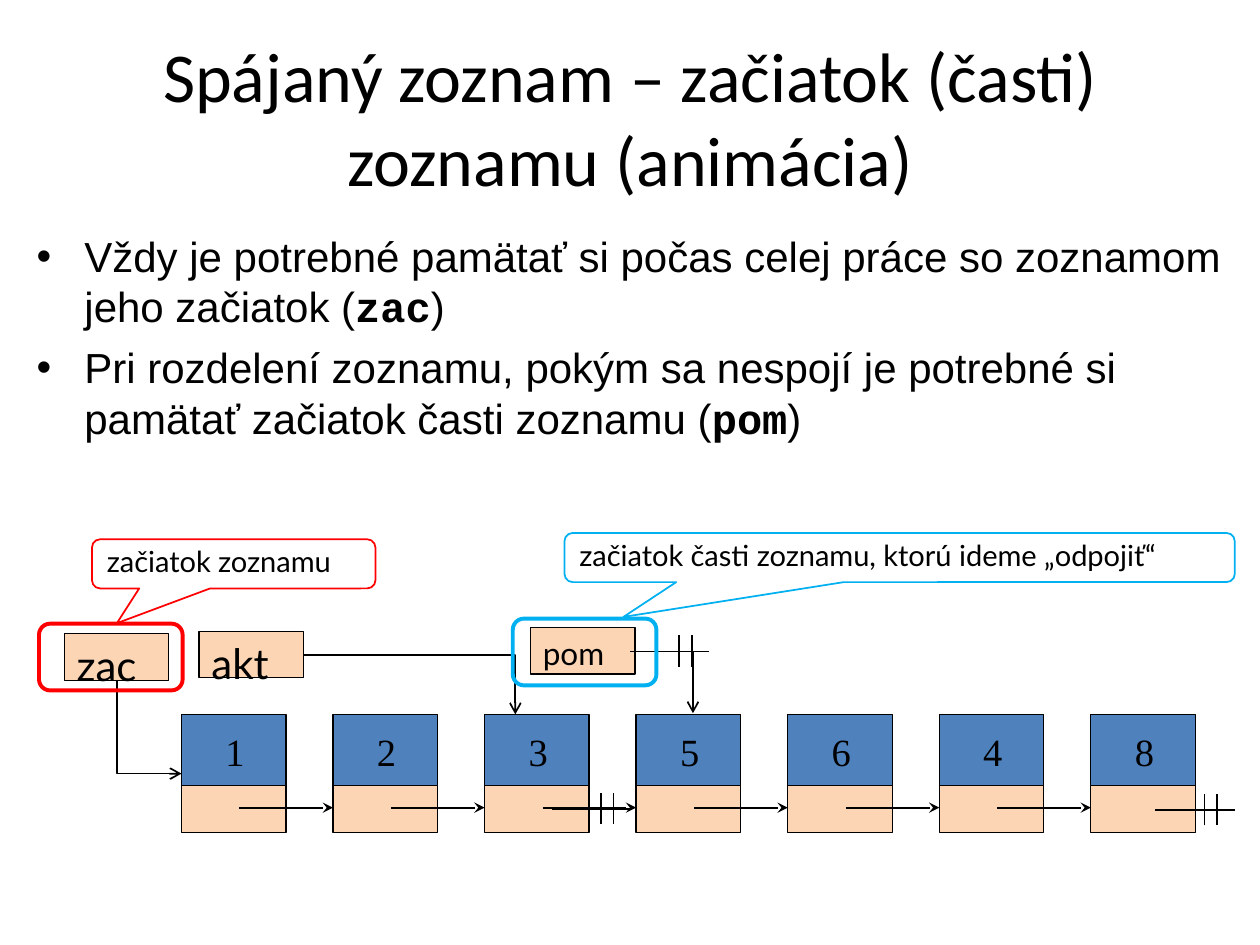
from lxml.etree import SubElement
from pptx import Presentation
from pptx.dml.color import RGBColor
from pptx.enum.shapes import MSO_CONNECTOR, MSO_SHAPE
from pptx.enum.text import MSO_ANCHOR, MSO_AUTO_SIZE, PP_ALIGN
from pptx.oxml.ns import qn
from pptx.util import Inches, Pt

BLACK = RGBColor(0x00, 0x00, 0x00)
BLUE = RGBColor(0x4F, 0x81, 0xBD)
PEACH = RGBColor(0xFC, 0xD5, 0xB5)
RED = RGBColor(0xFF, 0x00, 0x00)
CYAN = RGBColor(0x00, 0xB0, 0xF0)

NODE_VALUES = ["1", "2", "3", "5", "6", "4", "8"]
NODE_LEFT, NODE_TOP, NODE_PITCH = 1.44, 5.67, 1.203
CELL_WIDTH, CELL_HEIGHT = 0.83, 0.37
BULLETS = [
    ("Vždy je potrebné pamätať si počas celej práce so zoznamom jeho začiatok (", "zac", ")"),
    ("Pri rozdelení zoznamu, pokým sa nespojí je potrebné si pamätať začiatok časti zoznamu (", "pom", ")"),
]


def place(shape, left, top, width, height):
    shape.left, shape.top = Inches(left), Inches(top)
    shape.width, shape.height = Inches(width), Inches(height)


def format_font(font, name, size, bold=False):
    font.name, font.size, font.bold = name, Pt(size), bold
    font.color.rgb = BLACK


def add_box(page, kind, left, top, width, height, fill=None, line=None, weight=0.75):
    box = page.shapes.add_shape(kind, Inches(left), Inches(top), Inches(width), Inches(height))
    box.shadow.inherit = False
    if fill is None:
        box.fill.background()
    else:
        box.fill.solid()
        box.fill.fore_color.rgb = fill
    if line is None:
        box.line.fill.background()
    else:
        box.line.color.rgb = line
        box.line.width = Pt(weight)
    return box


def write(box, text, name, size, wrap=True):
    frame = box.text_frame
    frame.text = text
    frame.word_wrap = wrap
    frame.vertical_anchor = MSO_ANCHOR.TOP
    para = frame.paragraphs[0]
    para.alignment = PP_ALIGN.LEFT
    format_font(para.runs[0].font, name, size)
    return para


def add_line(page, start, end, arrow=None, kind=MSO_CONNECTOR.STRAIGHT):
    line = page.shapes.add_connector(kind, *(Inches(value) for value in (*start, *end)))
    line.line.color.rgb = BLACK
    line.line.width = Pt(1)
    properties = line._element.spPr
    if arrow:
        SubElement(properties.find(qn("a:ln")), qn("a:tailEnd"), type=arrow)
    SubElement(properties, qn("a:effectLst"))
    return line


def add_elbow(page, start, end, down_first=False):
    (x1, y1), (x2, y2) = start, end
    width, height = x2 - x1, y2 - y1
    if down_first:
        left = x1 + (width - height) / 2
        top = y1 + (height - width) / 2
        start, end = (left, top), (left + height, top + width)
    elbow = add_line(page, start, end, "arrow", MSO_CONNECTOR.ELBOW)
    properties = elbow._element.spPr
    properties.find(qn("a:prstGeom")).set("prst", "bentConnector2")
    if down_first:
        frame = properties.find(qn("a:xfrm"))
        frame.set("rot", str(270 * 60000))
        frame.set("flipH", "1")


def add_title(page, left, top, width, height):
    title = page.shapes.title
    place(title, left, top, width, height)
    frame = title.text_frame
    frame.text = "Spájaný zoznam – začiatok (časti) zoznamu (animácia)"
    frame.auto_size = MSO_AUTO_SIZE.NONE
    frame.vertical_anchor = MSO_ANCHOR.MIDDLE
    frame.paragraphs[0].alignment = PP_ALIGN.CENTER
    format_font(frame.paragraphs[0].runs[0].font, "Calibri", 40)


def add_bullets(page, left, top, width, height):
    body = page.placeholders[1]
    place(body, left, top, width, height)
    frame = body.text_frame
    frame.auto_size = MSO_AUTO_SIZE.NONE
    for index, parts in enumerate(BULLETS):
        para = frame.add_paragraph() if index else frame.paragraphs[0]
        para.space_before = Pt(6 if index else 0)
        properties = para._p.get_or_add_pPr()
        properties.set("marL", str(Inches(0.38)))
        properties.set("indent", str(-Inches(0.38)))
        SubElement(properties, qn("a:buFont"), typeface="Arial")
        SubElement(properties, qn("a:buChar"), char="•")
        for position, text in enumerate(parts):
            span = para.add_run()
            span.text = text
            is_code = position == 1
            format_font(span.font, "Courier New" if is_code else "Arial", 24, is_code)


def add_node(page, left, top, value):
    add_box(page, MSO_SHAPE.RECTANGLE, left, top, CELL_WIDTH, 0.92, BLUE, BLACK)
    number = add_box(page, MSO_SHAPE.RECTANGLE, left + 0.25, top + 0.06, 0.35, 0.47, BLUE)
    write(number, value, "Times New Roman", 22, wrap=False)
    add_box(page, MSO_SHAPE.RECTANGLE, left, top + 0.565, CELL_WIDTH, CELL_HEIGHT, PEACH, BLACK)


def add_list(page, left, top):
    lefts = [left + index * NODE_PITCH for index in range(len(NODE_VALUES))]
    for node_left, value in zip(lefts, NODE_VALUES):
        add_node(page, node_left, top, value)
    link_y = top + 0.74
    for node_left, next_left in zip(lefts, lefts[1:]):
        add_line(page, (node_left + 0.46, link_y), (next_left, link_y), "stealth")


def add_null_mark(page, left, y):
    add_line(page, (left, y), (left + 0.63, y))
    for offset in (0.49, 0.39):
        add_line(page, (left + offset, y + 0.12), (left + offset, y - 0.13))


def add_variable(page, left, top, name, size):
    box = add_box(page, MSO_SHAPE.RECTANGLE, left, top, CELL_WIDTH, CELL_HEIGHT, PEACH, BLACK)
    write(box, name, "Lato", size)


def add_highlight(page, left, top, color, text, callout_left, callout_top, callout_width):
    add_box(page, MSO_SHAPE.ROUNDED_RECTANGLE, left, top, 1.14, 0.53, line=color, weight=2.25)
    callout = add_box(page, MSO_SHAPE.ROUNDED_RECTANGULAR_CALLOUT, callout_left, callout_top,
                      callout_width, 0.39, line=color, weight=1)
    for index, value in enumerate((-0.412, 1.208, 0.167)):
        callout.adjustments[index] = value
    write(callout, text, "Lato", 16.6).line_spacing = 0.9


def main():
    deck = Presentation()
    deck.slide_width, deck.slide_height = Inches(10), Inches(7.5)
    page = deck.slides.add_slide(deck.slide_layouts[1])
    add_title(page, 0.5, 0.3, 9, 1.25)
    add_bullets(page, 0.19, 1.78, 9.61, 2.44)
    add_list(page, NODE_LEFT, NODE_TOP)
    add_variable(page, 0.51, 5.03, "zac", 24)
    add_variable(page, 1.58, 5.01, "akt", 24)
    add_variable(page, 4.21, 4.98, "pom", 18)
    add_elbow(page, (0.93, 5.4), (1.44, 6.14), down_first=True)
    add_elbow(page, (2.41, 5.2), (4.09, 5.67))
    add_elbow(page, (5.04, 5.17), (5.5, 5.66))
    for left, y in ((9.17, 6.43), (5, 5.17), (4.38, 6.42)):
        add_null_mark(page, left, y)
    add_highlight(page, 0.31, 4.95, RED, "začiatok zoznamu", 0.73, 4.28, 2.25)
    add_highlight(page, 4.07, 4.91, CYAN, "začiatok časti zoznamu, ktorú ideme „odpojiť“",
                  4.48, 4.23, 5.32)
    deck.save("out.pptx")


if __name__ == "__main__":
    main()
